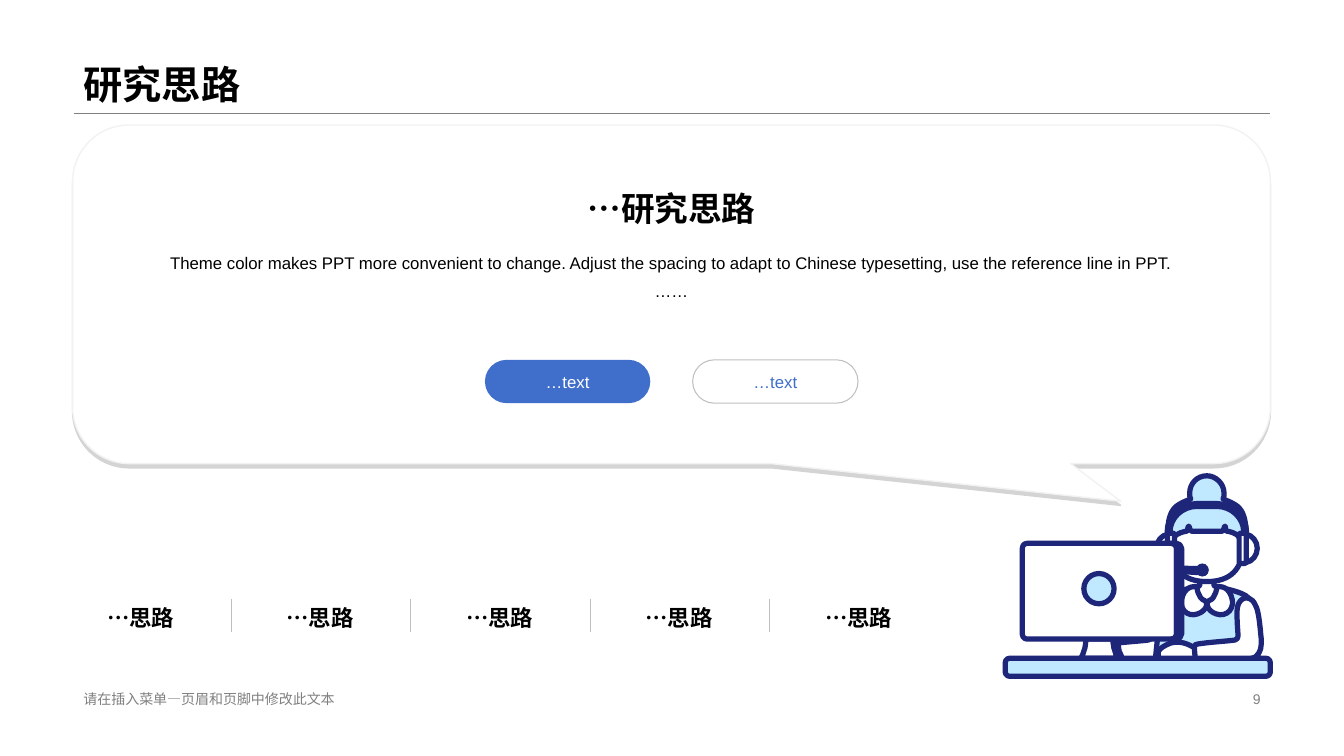
from lxml import etree
from pptx import Presentation
from pptx.dml.color import RGBColor
from pptx.enum.shapes import MSO_CONNECTOR, MSO_SHAPE
from pptx.enum.text import MSO_ANCHOR as Anchor, PP_ALIGN as Align
from pptx.oxml.ns import qn
from pptx.util import Emu, Pt

PX = 9144
FACE_AXIS = 1197
FONT = "Arial"

BLACK = RGBColor(0x00, 0x00, 0x00)
WHITE = RGBColor(0xFF, 0xFF, 0xFF)
GRAY = RGBColor(0x80, 0x80, 0x80)
SILVER = RGBColor(0xBF, 0xBF, 0xBF)
PALE = RGBColor(0xF2, 0xF2, 0xF2)
BLUE = RGBColor(0x3F, 0x6E, 0xCB)
NAVY = RGBColor(0x1D, 0x26, 0x78)
SKY = RGBColor(0xC0, 0xE8, 0xFF)

FAR_ARM = [(1156, 594), (1153, 595, 1147, 598, 1145, 612), (1144, 626, 1145, 635, 1139, 635),
           (1133, 636, 1099, 638, 1098, 640), (1097, 643, 1097, 656, 1097, 656),
           (1097, 656, 1096, 659, 1102, 658), (1108, 658, 1152, 656, 1158, 651),
           (1164, 646, 1164, 642, 1165, 634), (1167, 626, 1169, 606, 1166, 600),
           (1164, 593, 1158, 592, 1156, 594)]
FAR_HAND = [(1102, 641), (1102, 641, 1081, 640, 1079, 649), (1076, 659, 1078, 657, 1090, 658),
            (1102, 659, 1110, 659, 1111, 656), (1112, 653, 1110, 642, 1102, 641)]
TORSO = [(1238, 593), (1234, 587, 1206, 582, 1206, 582), (1188, 582),
         (1188, 582, 1160, 587, 1156, 593), (1151, 599, 1146, 653, 1146, 653), (1248, 653),
         (1248, 653, 1243, 599, 1238, 593)]
NECK = [(1204, 581), (1204, 570), (1204, 566, 1201, 563, 1197, 563),
        (1193, 563, 1190, 566, 1190, 570), (1190, 581), (1186, 583, 1181, 585, 1181, 588),
        (1181, 593, 1179, 601, 1197, 601), (1215, 601, 1213, 593, 1213, 588),
        (1213, 585, 1208, 583, 1204, 581)]
FACE = [(1233, 540), (1233, 565, 1220, 577, 1197, 577), (1174, 577, 1161, 565, 1161, 540),
        (1161, 514, 1169, 496, 1197, 496), (1225, 496, 1233, 514, 1233, 540)]
HAIR = [(1227, 502), (1223, 499, 1218, 497, 1213, 495), (1214, 494, 1214, 492, 1214, 489),
        (1214, 480, 1206, 472, 1197, 472), (1187, 472, 1180, 480, 1180, 489),
        (1180, 492, 1180, 494, 1181, 495), (1176, 497, 1171, 499, 1167, 502),
        (1154, 512, 1159, 541, 1161, 541), (1164, 541, 1162, 538, 1164, 533),
        (1167, 529, 1175, 527, 1177, 527), (1178, 527, 1178, 522, 1179, 522),
        (1180, 522, 1180, 527, 1182, 527), (1212, 527), (1214, 527, 1214, 522, 1215, 522),
        (1216, 522, 1215, 527, 1217, 527), (1219, 527, 1227, 529, 1229, 533),
        (1232, 538, 1230, 541, 1233, 541), (1235, 541, 1240, 512, 1227, 502)]
HEADBAND = [(1235, 532), (1235, 528), (1235, 513, 1222, 501, 1207, 501), (1187, 501),
            (1172, 501, 1159, 513, 1159, 528), (1159, 532)]
EAR = [(1147, 544), (1147, 551, 1152, 557, 1158, 558), (1158, 530),
       (1152, 531, 1147, 537, 1147, 544)]
MICROPHONE_ARM = [(1188, 568), (1187, 568, 1172, 567, 1169, 567), (1164, 566, 1161, 558, 1161, 555),
                  (1160, 554, 1161, 553, 1162, 553), (1163, 552, 1164, 553, 1164, 554),
                  (1166, 558, 1168, 563, 1169, 563), (1172, 564, 1184, 564, 1188, 564),
                  (1189, 564, 1190, 565, 1190, 566), (1190, 567, 1189, 568, 1188, 568)]
COLLAR = [(1195, 596), (1188, 594, 1187, 582, 1187, 582), (1187, 582, 1177, 580, 1173, 591),
          (1168, 603, 1177, 613, 1188, 609), (1197, 606, 1199, 597, 1195, 596)]
NEAR_HAND = [(1185, 643), (1185, 643, 1173, 634, 1161, 638), (1148, 643, 1145, 649, 1152, 655),
             (1160, 661, 1164, 659, 1171, 657), (1178, 655, 1186, 657, 1186, 657)]
NEAR_ARM = [(1233, 594), (1231, 595, 1226, 598, 1227, 612), (1227, 626, 1230, 635, 1225, 635),
            (1219, 636, 1186, 638, 1185, 640), (1184, 643, 1186, 656, 1186, 656),
            (1186, 656, 1186, 659, 1192, 658), (1198, 658, 1242, 656, 1246, 651),
            (1251, 646, 1251, 642, 1251, 634), (1250, 626, 1249, 606, 1245, 600),
            (1242, 593, 1236, 592, 1233, 594)]
STAND = [(1106, 646), (1104, 642, 1104, 634, 1104, 634), (1077, 634),
         (1077, 634, 1077, 642, 1075, 646), (1074, 650, 1072, 653, 1072, 653), (1108, 653),
         (1108, 653, 1107, 650, 1106, 646)]
STAND_SIDE = [(1110, 646), (1109, 642, 1109, 634, 1109, 634), (1104, 634),
              (1104, 634, 1104, 642, 1106, 646), (1107, 650, 1109, 653, 1109, 653), (1113, 653),
              (1113, 653, 1112, 650, 1110, 646)]
MONITOR_SIDE = [(1167, 539), (1162, 539), (1165, 539, 1167, 541, 1167, 544), (1167, 629),
                (1167, 632, 1165, 634, 1162, 634), (1167, 634),
                (1169, 634, 1172, 632, 1172, 629), (1172, 544),
                (1172, 541, 1169, 539, 1167, 539)]


def px(*lengths):
    return [Emu(length * PX) for length in lengths]


def paint(shape, fill, line, width):
    shape.shadow.inherit = False
    if fill is None:
        shape.fill.background()
    else:
        shape.fill.solid()
        shape.fill.fore_color.rgb = fill
    if line is None:
        shape.line.fill.background()
    else:
        shape.line.color.rgb = line
        shape.line.width = Pt(width)


def write(shape, text, size, color=BLACK, bold=False, align=Align.LEFT,
          anchor=Anchor.MIDDLE, spacing=1.0, wrap=True):
    frame = shape.text_frame
    frame.text = text
    frame.word_wrap = wrap
    frame.vertical_anchor = anchor
    for paragraph in frame.paragraphs:
        paragraph.alignment = align
        paragraph.line_spacing = spacing
        for run in paragraph.runs:
            run.font.name = FONT
            run.font.size = Pt(size)
            run.font.bold = bold
            run.font.color.rgb = color


def add_text(shapes, box, text, size, **style):
    write(shapes.add_textbox(*px(*box)), text, size, **style)


def add_rule(shapes, start, end, color):
    rule = shapes.add_connector(MSO_CONNECTOR.STRAIGHT, *px(*start, *end))
    rule.line.color.rgb = color
    rule.line.width = Pt(0.25)
    etree.SubElement(rule.element.spPr, qn("a:effectLst"))


def add_preset(shapes, kind, box, fill, line=NAVY, width=3.75, adjustments=()):
    shape = shapes.add_shape(kind, *px(*box))
    for index, value in enumerate(adjustments):
        shape.adjustments[index] = value
    paint(shape, fill, line, width)
    return shape


def mirror(outline):
    return [tuple(value if index % 2 else 2 * FACE_AXIS - value
                  for index, value in enumerate(segment)) for segment in outline]


def bend(shape, segments):
    lines = list(shape.element.iter(qn("a:lnTo")))
    for line, segment in zip(lines, segments):
        if len(segment) == 6:
            curve = etree.Element(qn("a:cubicBezTo"))
            for x, y in zip(segment[::2], segment[1::2]):
                etree.SubElement(curve, qn("a:pt"), x=str(x * PX - shape.left),
                                 y=str(y * PX - shape.top))
            line.getparent().replace(line, curve)


def add_outline(shapes, outline, fill=WHITE, width=3.75, close=True):
    start, *corners = [px(*segment[-2:]) for segment in outline]
    builder = shapes.build_freeform(*start)
    builder.add_line_segments(corners, close=close)
    shape = builder.convert_to_shape()
    bend(shape, outline[1:])
    paint(shape, fill, NAVY, width)


def add_operator(slide):
    shapes = slide.shapes.add_group_shape().shapes
    for outline, fill in ((FAR_ARM, WHITE), (FAR_HAND, WHITE), (TORSO, SKY), (NECK, WHITE),
                          (FACE, WHITE), (HAIR, SKY)):
        add_outline(shapes, outline, fill)
    add_preset(shapes, MSO_SHAPE.OVAL, (1186, 559, 13, 13), NAVY, None)
    add_outline(shapes, HEADBAND, None, 5.75, close=False)
    for ear, pad_left in ((EAR, 1158), (mirror(EAR), 1229)):
        add_outline(shapes, ear)
        add_preset(shapes, MSO_SHAPE.ROUNDED_RECTANGLE, (pad_left, 529, 7, 30), WHITE,
                   adjustments=[0.25])
    for outline in (MICROPHONE_ARM, COLLAR, mirror(COLLAR), NEAR_HAND, NEAR_ARM, STAND, STAND_SIDE):
        add_outline(shapes, outline)
    add_preset(shapes, MSO_SHAPE.ROUNDED_RECTANGLE, (1014, 539, 153, 95), WHITE, adjustments=[0.05])
    add_outline(shapes, MONITOR_SIDE)
    add_preset(shapes, MSO_SHAPE.OVAL, (1075, 569, 30, 30), SKY)
    add_preset(shapes, MSO_SHAPE.ROUNDED_RECTANGLE, (997, 653, 263, 18), SKY, adjustments=[0.25])


def add_callout(shapes):
    callout = add_preset(shapes, MSO_SHAPE.ROUNDED_RECTANGULAR_CALLOUT, (72, 124, 1188, 336),
                         WHITE, PALE, 1, [0.375, 0.611, 0.167])
    effects = callout.element.spPr.find(qn("a:effectLst"))
    shadow = etree.SubElement(effects, qn("a:outerShdw"), blurRad="0", dist=str(Pt(3)),
                              dir="5400000", algn="t", rotWithShape="0")
    color = etree.SubElement(shadow, qn("a:srgbClr"), val=str(SILVER))
    etree.SubElement(color, qn("a:alpha"), val="66000")


def add_button(shapes, left, fill, line, text_color):
    button = add_preset(shapes, MSO_SHAPE.ROUNDED_RECTANGLE, (left, 357, 164, 43), fill, line,
                        0.75, [0.5])
    write(button, "…text", 12, text_color, align=Align.CENTER, wrap=False)


def main():
    presentation = Presentation()
    presentation.slide_width, presentation.slide_height = px(1333, 750)
    slide = presentation.slides.add_slide(presentation.slide_layouts[5])
    shapes = slide.shapes

    title = shapes.title
    title.left, title.top, title.width, title.height = px(73, 0, 1187, 112)
    write(title, "研究思路", 28, bold=True, anchor=Anchor.BOTTOM, spacing=0.9)
    add_rule(shapes, (73, 112), (1260, 112), GRAY)
    add_text(shapes, (73, 682, 453, 23), "请在插入菜单—页眉和页脚中修改此文本", 10, color=GRAY)
    add_text(shapes, (942, 682, 318, 23), "9", 10, color=GRAY, align=Align.RIGHT)

    add_operator(slide)
    add_callout(shapes)
    for column in range(5):
        left = 72 + 178 * column
        add_text(shapes, (left, 586, 135, 48), "…思路", 16, bold=True, align=Align.CENTER,
                 spacing=1.2)
        if column:
            add_rule(shapes, (left - 21, 594), (left - 21, 627), SILVER)

    add_text(shapes, (72, 238, 1188, 71),
             "Theme color makes PPT more convenient to change. Adjust the spacing to adapt to "
             "Chinese typesetting, use the reference line in PPT.\n……",
             12, align=Align.CENTER, anchor=Anchor.TOP, spacing=1.4)
    add_text(shapes, (72, 167, 1188, 71), "…研究思路", 24, bold=True, align=Align.CENTER, spacing=1.2)
    add_button(shapes, 481, BLUE, None, WHITE)
    add_button(shapes, 687, None, SILVER, BLUE)
    presentation.save("out.pptx")


if __name__ == "__main__":
    main()
